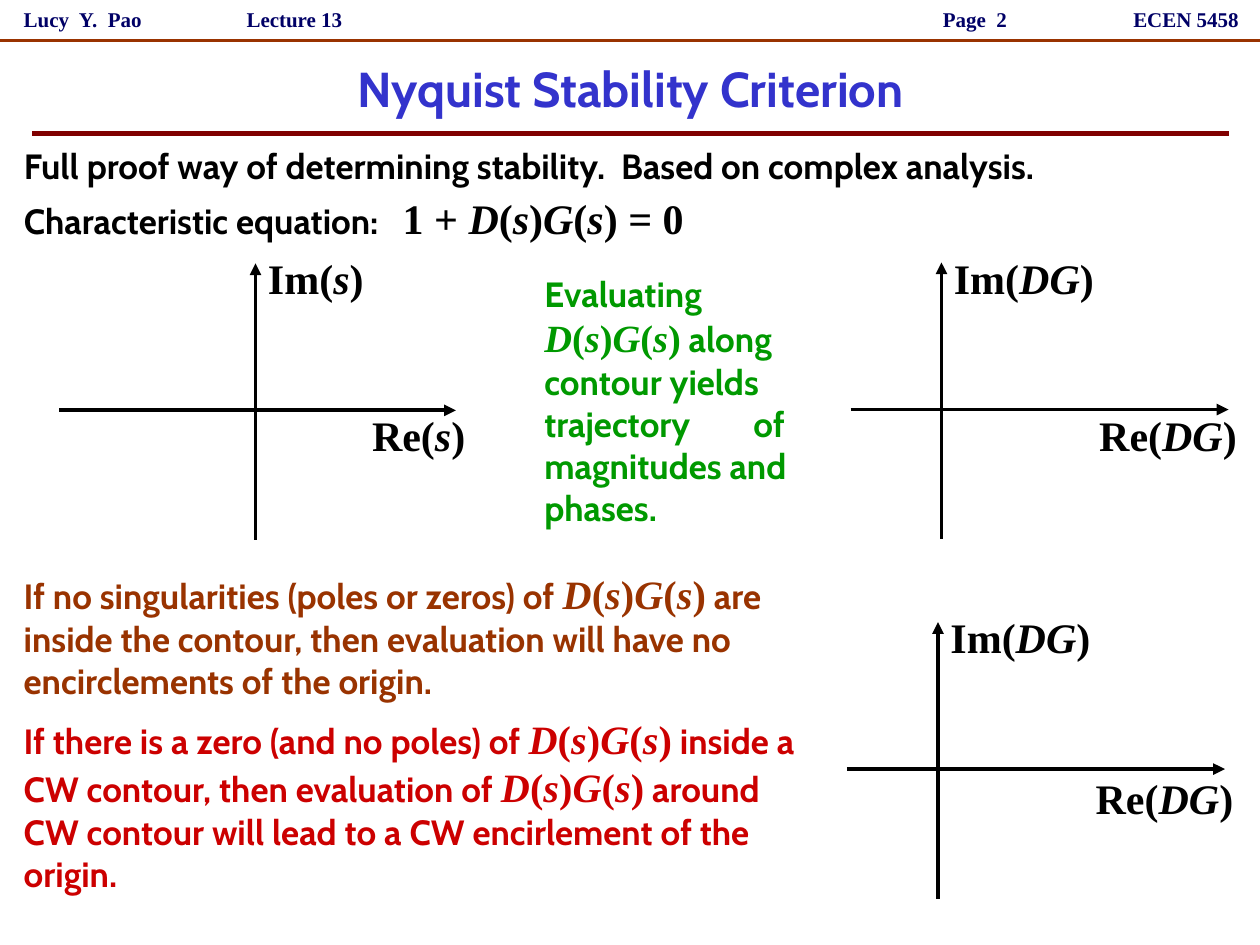
import itertools

import pptx
import pptx.dml.color
import pptx.enum.shapes
import pptx.enum.text
import pptx.oxml
import pptx.oxml.ns
import pptx.util

Pt = pptx.util.Pt
ALIGN = pptx.enum.text.PP_ALIGN
ANCHOR = pptx.enum.text.MSO_ANCHOR
AUTO = pptx.enum.text.MSO_AUTO_SIZE
BODY_FONT = "Cabin"
MATH_FONT = "Times New Roman"
BLACK, NAVY, BLUE = "000000", "000066", "3333CC"
BROWN, MAROON, RED, GREEN = "993300", "800000", "CC0000", "009900"


def color(hex_string):
    return pptx.dml.color.RGBColor.from_string(hex_string)


def xml_element(tag, attributes=""):
    namespace = pptx.oxml.ns.nsdecls("a")
    return pptx.oxml.parse_xml(f"<a:{tag} {namespace} {attributes}/>")


def write_text(shape, text, size=20, font=BODY_FONT, ink=BLACK, math_size=23,
               align=ALIGN.LEFT, anchor=ANCHOR.TOP, wrap=True,
               auto_size=AUTO.SHAPE_TO_FIT_TEXT, tab=None):
    frame = shape.text_frame
    frame.word_wrap = wrap
    frame.auto_size = auto_size
    frame.vertical_anchor = anchor
    paragraph = frame.paragraphs[0]
    paragraph.alignment = align
    if tab:
        tab_list = xml_element("tabLst")
        tab_list.append(xml_element("tab", f'pos="{Pt(tab)}" algn="l"'))
        paragraph._p.get_or_add_pPr().append(tab_list)

    def add_run(content, run_font, run_size, italic=False):
        run = paragraph.add_run()
        run.text = content
        run.font.name = run_font
        run.font.size = Pt(run_size)
        run.font.bold = True
        run.font.italic = italic
        run.font.color.rgb = color(ink)

    for index, part in enumerate(text.split("$")):
        if index % 2:
            for is_symbol, letters in itertools.groupby(part, str.isalpha):
                add_run("".join(letters), MATH_FONT, math_size, is_symbol)
        elif part:
            add_run(part, font, size)


def add_text(shapes, box, text, **text_format):
    textbox = shapes.add_textbox(*map(Pt, box))
    write_text(textbox, text, **text_format)


def add_line(shapes, start, end, ink=BLACK, width=2.25, arrow=False):
    line = shapes.add_connector(pptx.enum.shapes.MSO_CONNECTOR.STRAIGHT,
                                *map(Pt, (*start, *end)))
    line.line.color.rgb = color(ink)
    line.line.width = Pt(width)
    if arrow:
        line.line._get_or_add_ln().append(xml_element("tailEnd", 'type="triangle"'))
    line._element.spPr.append(xml_element("effectLst"))


def add_header(slide, box):
    left, top, width, height = box
    entries = [
        ("Lucy  Y.  Pao", 6.5, 102, ALIGN.LEFT),
        ("Lecture 13", 119, 98.5, ALIGN.CENTER),
        ("Page  2", 464.5, 118, ALIGN.RIGHT),
        ("ECEN 5458", 640.5, 76, ALIGN.LEFT),
    ]
    for entry, offset, entry_width, align in entries:
        add_text(slide.shapes, (left + offset, top, entry_width, height - 1.5), entry,
                 size=12, font=MATH_FONT, ink=NAVY, align=align, anchor=ANCHOR.MIDDLE)
    add_line(slide.shapes, (left, top + height), (left + width, top + height),
             ink=BROWN, width=1.5)


def add_title(slide, box):
    left, top, width, height = box
    title = slide.shapes.title
    title.left, title.top, title.width, title.height = map(Pt, box)
    write_text(title, "Nyquist Stability Criterion", size=28, ink=BLUE,
               align=ALIGN.CENTER, anchor=ANCHOR.MIDDLE, auto_size=AUTO.NONE)
    rule_y = top + height + 1
    add_line(slide.shapes, (left - 3, rule_y), (left + width + 3, rule_y),
             ink=MAROON, width=3)


def add_plane(slide, box, variable, origin_x, label_width, re_drop):
    left, top, width, height = box
    axis_x, axis_y = left + origin_x, top + 84
    right = left + width
    plane = slide.shapes.add_group_shape().shapes
    add_line(plane, (axis_x, top + height), (axis_x, top), arrow=True)
    add_line(plane, (left, axis_y), (right, axis_y), arrow=True)
    labels = [("Im", axis_x, top - 9.5),
              ("Re", right + 15 - label_width, axis_y + re_drop)]
    for part, label_left, label_top in labels:
        add_text(plane, (label_left, label_top, label_width, 36),
                 f"{part}(${variable}$)", size=24, font=MATH_FONT,
                 math_size=24, wrap=False)


def add_statements(slide, box):
    left, top, width, height = box
    add_text(slide.shapes, (left, top, width, 31.5),
             "Full proof way of determining stability.  Based on complex analysis.")
    add_text(slide.shapes, (left, top + 27.5, 489, 36),
             "Characteristic equation:\t$1 + D(s)G(s) = 0$", math_size=24, tab=216.5)
    add_text(slide.shapes, (left + 297.5, top + 73, 175, 154),
             "Evaluating $D(s)G(s)$ along contour yields trajectory\tof "
             "magnitudes and phases.", ink=GREEN, math_size=22, tab=119.5)
    add_text(slide.shapes, (left, top + 243, 479.5, 83),
             "If no singularities (poles or zeros) of $D(s)G(s)$ are inside the "
             "contour, then evaluation will have no encirclements of the origin.",
             ink=BROWN)
    add_text(slide.shapes, (left, top + 325.5, 459.5, 111),
             "If there is a zero (and no poles) of $D(s)G(s)$ inside a CW contour, "
             "then evaluation of $D(s)G(s)$ around CW contour will lead to a CW "
             "encirlement of the origin.", ink=RED)


def main():
    presentation = pptx.Presentation()
    presentation.slide_width = Pt(720)
    presentation.slide_height = Pt(540)
    slide = presentation.slides.add_slide(presentation.slide_layouts[5])
    add_header(slide, (0, 0, 720, 23))
    add_title(slide, (21.5, 25, 677.5, 50.5))
    add_statements(slide, (6.5, 79, 713.5, 437))
    add_plane(slide, (34, 150.5, 226.5, 158), "s", 112, 70, -4)
    add_plane(slide, (486, 150, 216, 158), "DG", 52, 96, -3.5)
    add_plane(slide, (484, 355.5, 216, 158), "DG", 52, 96, -1.5)
    presentation.save("out.pptx")


if __name__ == "__main__":
    main()
